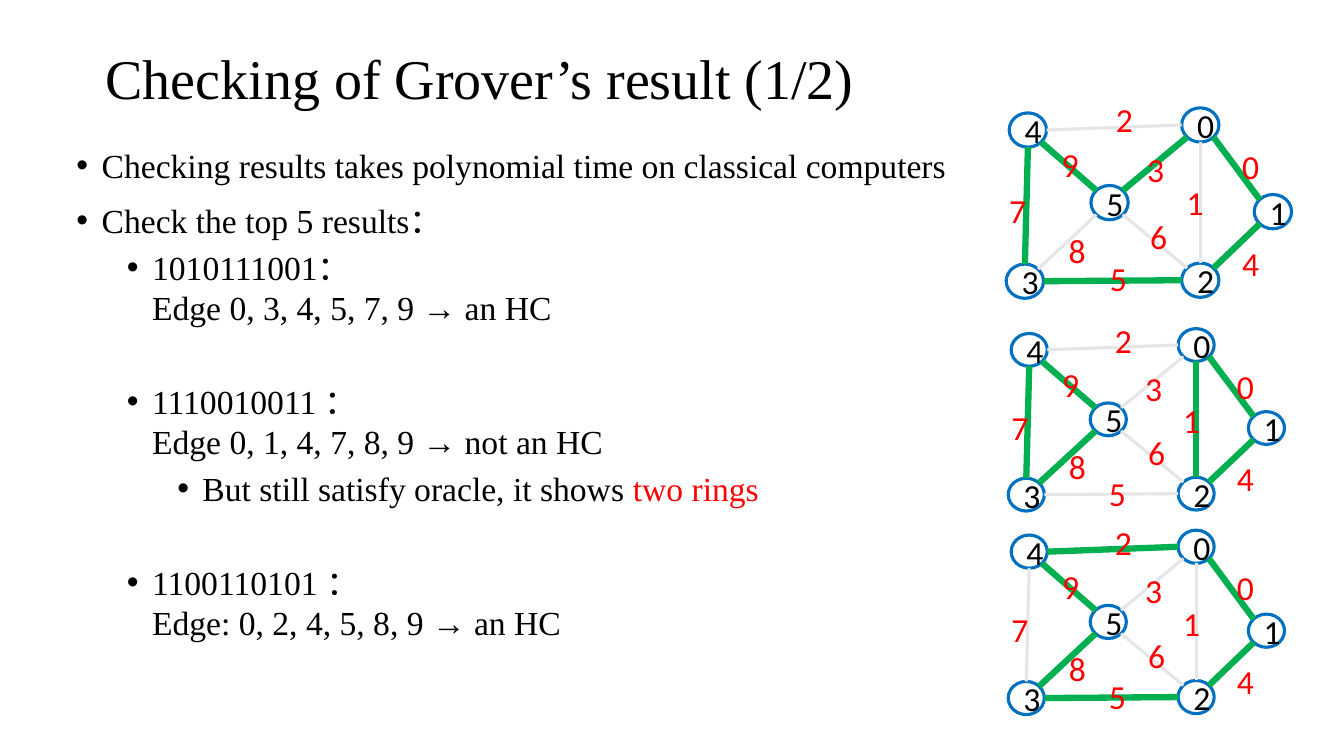
from lxml import etree
from pptx import Presentation
from pptx.dml.color import RGBColor
from pptx.enum import shapes, text
from pptx.oxml import ns
from pptx.util import Inches, Pt

BLACK = RGBColor(0x00, 0x00, 0x00)
RED = RGBColor(0xFF, 0x00, 0x00)
BLUE = RGBColor(0x00, 0x70, 0xC0)
GREEN = RGBColor(0x00, 0xB0, 0x50)
GREY = RGBColor(0xE7, 0xE6, 0xE6)
SERIF, SANS = "Times New Roman", "Calibri"

# Level, space before in points, text, highlighted ending
FINDINGS = [
    (0, 10, "Checking results takes polynomial time on classical computers", ""),
    (0, 10, "Check the top 5 results：", ""),
    (1, 5, "1010111001：\nEdge 0, 3, 4, 5, 7, 9 → an HC", ""),
    (1, 38, "1110010011 ：\nEdge 0, 1, 4, 7, 8, 9 → not an HC", ""),
    (2, 5, "But still satisfy oracle, it shows ", "two rings"),
    (1, 38, "1100110101 ：\nEdge: 0, 2, 4, 5, 8, 9 → an HC", ""),
]

# Graph geometry, in inches on a graph of this full size
GRAPH_W, GRAPH_H = 2.83, 1.89
NODE_W, NODE_H = 0.37, 0.34
LABEL_W, LABEL_H = 0.32, 0.41
NODES = [(1.74, 0), (2.46, 0.86), (1.74, 1.54), (0, 1.55), (0.03, 0.05), (0.84, 0.77)]
# Start node and side, end node and side, label position; the index is the edge number
EDGES = [
    (0, "SE", 1, "NW", (2.24, 0.33)),
    (0, "S", 2, "N", (1.69, 0.69)),
    (4, "E", 0, "W", (0.99, -0.14)),
    (0, "SW", 5, "NE", (1.30, 0.36)),
    (1, "SW", 2, "NE", (2.24, 1.29)),
    (3, "E", 2, "W", (0.93, 1.44)),
    (5, "SE", 2, "NW", (1.33, 1.02)),
    (4, "S", 3, "N", (-0.07, 0.76)),
    (5, "SW", 3, "NE", (0.52, 1.16)),
    (4, "SE", 5, "NW", (0.45, 0.31)),
]
# Box of each graph and the edges its result selects
RESULTS = [
    ((9.98, 1.07, 2.83, 1.89), {0, 3, 4, 5, 7, 9}),
    ((10.0, 3.26, 2.74, 1.81), {0, 1, 4, 7, 8, 9}),
    ((10.0, 5.26, 2.74, 1.83), {0, 2, 4, 5, 8, 9}),
]


def style(paragraph, font_name, size, color):
    for run in paragraph.runs:
        run.font.name = font_name
        run.font.size = Pt(size)
        run.font.color.rgb = color


def add_text_frame(slide, box):
    frame = slide.shapes.add_textbox(*map(Inches, box)).text_frame
    frame.word_wrap = True
    return frame


def add_title(slide, box):
    frame = add_text_frame(slide, box)
    frame.vertical_anchor = text.MSO_ANCHOR.MIDDLE
    frame.text = "Checking of Grover’s result (1/2)"
    frame.paragraphs[0].line_spacing = 0.9
    style(frame.paragraphs[0], SERIF, 40, BLACK)


def add_bullet(paragraph, level):
    properties = paragraph._p.get_or_add_pPr()
    properties.set("marL", str(Inches(0.25 + 0.5 * level)))
    properties.set("indent", str(Inches(-0.25)))
    etree.SubElement(properties, ns.qn("a:buFont")).set("typeface", "Arial")
    etree.SubElement(properties, ns.qn("a:buChar")).set("char", "•")


def add_findings(slide, box):
    frame = add_text_frame(slide, box)
    for index, (level, gap, wording, highlight) in enumerate(FINDINGS):
        finding = frame.add_paragraph() if index else frame.paragraphs[0]
        finding.text = wording
        finding.level = level
        finding.space_before = Pt(gap)
        add_bullet(finding, level)
        style(finding, SERIF, 24, BLACK)
        if highlight:
            finding.add_run().text = highlight
            style(finding, SERIF, 24, BLACK)
            finding.runs[-1].font.color.rgb = RED


def node_side(node, side):
    """Point on the node's outline in a compass direction."""
    dx = ("E" in side) - ("W" in side)
    dy = ("S" in side) - ("N" in side)
    reach = 0.5 if len(side) == 1 else 0.5 * 0.5 ** 0.5
    x, y = NODES[node]
    return x + NODE_W * (0.5 + reach * dx), y + NODE_H * (0.5 + reach * dy)


def add_graph(slide, box, selected):
    left, top, width, height = box
    scale_x, scale_y = width / GRAPH_W, height / GRAPH_H

    def place(x, y):
        return left + x * scale_x, top + y * scale_y

    # Nodes
    for number, position in enumerate(NODES):
        node = slide.shapes.add_shape(
            shapes.MSO_SHAPE.OVAL, *map(Inches, place(*position)),
            Inches(NODE_W * scale_x), Inches(NODE_H * scale_y))
        node.shadow.inherit = False
        node.fill.background()
        node.line.color.rgb = BLUE
        node.line.width = Pt(2.25)
        node.text_frame.text = str(number)
        node.text_frame.vertical_anchor = text.MSO_ANCHOR.MIDDLE
        node.text_frame.paragraphs[0].alignment = text.PP_ALIGN.CENTER
        style(node.text_frame.paragraphs[0], SANS, 24, BLACK)

    # Edges
    for number, (start, start_side, end, end_side, _) in enumerate(EDGES):
        edge = slide.shapes.add_connector(
            shapes.MSO_CONNECTOR.STRAIGHT,
            *map(Inches, place(*node_side(start, start_side))),
            *map(Inches, place(*node_side(end, end_side))))
        edge.line.color.rgb = GREEN if number in selected else GREY
        edge.line.width = Pt(4.5 if number in selected else 2.25)
        etree.SubElement(edge._element.spPr, ns.qn("a:effectLst"))

    # Edge numbers
    for number, edge_data in enumerate(EDGES):
        label = add_text_frame(
            slide, (*place(*edge_data[-1]), LABEL_W * scale_x, LABEL_H * scale_y))
        label.text = str(number)
        style(label.paragraphs[0], SANS, 24, RED)


def main():
    presentation = Presentation()
    presentation.slide_width = Inches(13.33)
    presentation.slide_height = Inches(7.5)
    slide = presentation.slides.add_slide(presentation.slide_layouts[6])
    add_title(slide, (0.95, 0.08, 8.16, 1.45))
    add_findings(slide, (0.66, 1.39, 8.91, 6.28))
    for box, selected in RESULTS:
        add_graph(slide, box, selected)
    presentation.save("out.pptx")


if __name__ == "__main__":
    main()
